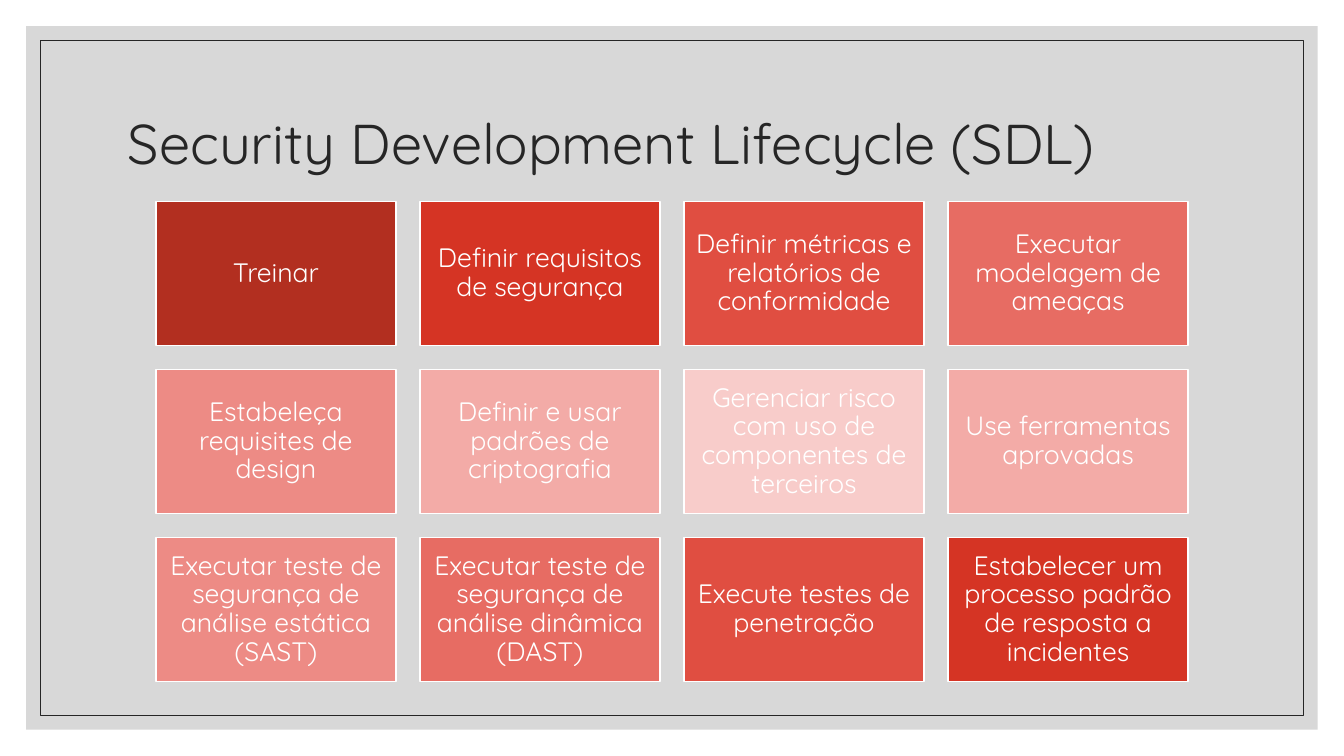
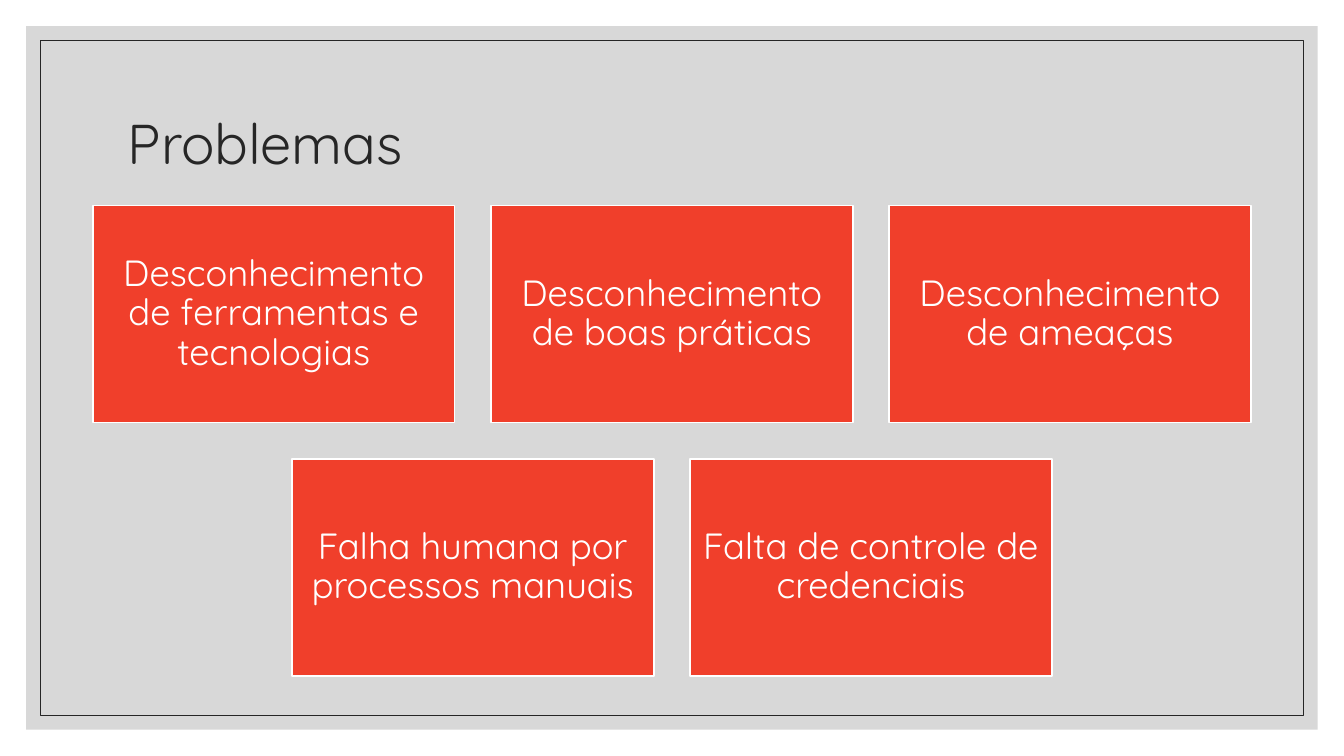
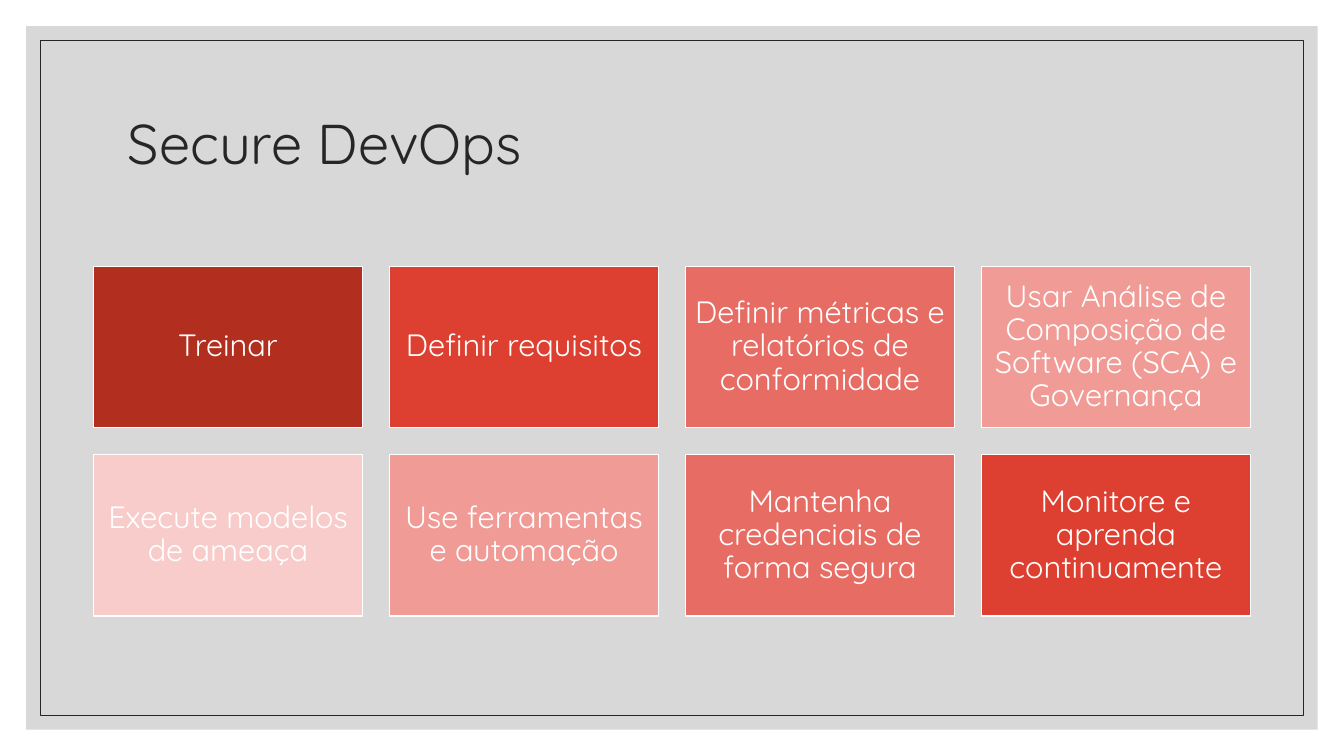
from dataclasses import dataclass
from typing import Optional

from lxml.etree import SubElement
from pptx import Presentation
from pptx.dml.color import RGBColor
from pptx.enum.shapes import MSO_SHAPE as Preset
from pptx.enum.text import MSO_ANCHOR as Anchor, MSO_AUTO_SIZE as AutoSize, PP_ALIGN as Align
from pptx.oxml.ns import qn
from pptx.util import Cm, Pt

FONT = "Quicksand"
LINE_SPACING = 0.9
TITLE_SIZE = 40
PAGE_WIDTH = 33.87
PAGE_HEIGHT = 19.05

WHITE = RGBColor(0xFF, 0xFF, 0xFF)
INK = RGBColor(0x26, 0x26, 0x26)
GREY = RGBColor(0xBF, 0xBF, 0xBF)
ACCENT = RGBColor(0xF0, 0x3F, 0x2B)
DARK_RED = RGBColor(0xB2, 0x2F, 0x20)
DEEP_RED = RGBColor(0xD5, 0x34, 0x24)
STRONG_RED = RGBColor(0xDD, 0x3F, 0x31)
WARM_RED = RGBColor(0xE0, 0x4E, 0x41)
CORAL = RGBColor(0xE7, 0x6C, 0x63)
SALMON = RGBColor(0xED, 0x8B, 0x85)
ROSE = RGBColor(0xF0, 0x9B, 0x96)
PINK = RGBColor(0xF3, 0xAB, 0xA7)
PALE_PINK = RGBColor(0xF8, 0xCC, 0xCA)


@dataclass(frozen=True)
class Tile:
    label: str
    fill: RGBColor = ACCENT


@dataclass(frozen=True)
class TileGrid:
    """Tiles in centred rows; top and tile_width are in centimetres."""
    title: str
    columns: int
    top: float
    tile_width: float
    font_size: int
    tiles: tuple[Tile, ...]


GRIDS = (
    TileGrid("Security Development Lifecycle (SDL)", 4, 5.08, 6.05, 19, (
        Tile("Treinar", DARK_RED),
        Tile("Definir requisitos de segurança", DEEP_RED),
        Tile("Definir métricas e relatórios de conformidade", WARM_RED),
        Tile("Executar modelagem de ameaças", CORAL),
        Tile("Estabeleça requisites de design", SALMON),
        Tile("Definir e usar padrões de criptografia", PINK),
        Tile("Gerenciar risco com uso de componentes de terceiros", PALE_PINK),
        Tile("Use ferramentas aprovadas", PINK),
        Tile("Executar teste de segurança de análise estática (SAST)", SALMON),
        Tile("Executar teste de segurança de análise dinâmica (DAST)", CORAL),
        Tile("Execute testes de penetração", WARM_RED),
        Tile("Estabelecer um processo padrão de resposta a incidentes", DEEP_RED),
    )),
    TileGrid("Problemas", 3, 5.18, 9.12, 26, (
        Tile("Desconhecimento de ferramentas e tecnologias"),
        Tile("Desconhecimento de boas práticas"),
        Tile("Desconhecimento de ameaças"),
        Tile("Falha humana por processos manuais"),
        Tile("Falta de controle de credenciais"),
    )),
    TileGrid("Secure DevOps", 4, 6.71, 6.78, 22, (
        Tile("Treinar", DARK_RED),
        Tile("Definir requisitos", STRONG_RED),
        Tile("Definir métricas e relatórios de conformidade", CORAL),
        Tile("Usar Análise de Composição de Software (SCA) e Governança", ROSE),
        Tile("Execute modelos de ameaça", PALE_PINK),
        Tile("Use ferramentas e automação", ROSE),
        Tile("Mantenha credenciais de forma segura", CORAL),
        Tile("Monitore e aprenda continuamente", STRONG_RED),
    )),
)


def add_rectangle(page, left: float, top: float, width: float, height: float,
                  fill: Optional[RGBColor] = None, line: Optional[RGBColor] = None,
                  line_width: float = 1):
    box = page.shapes.add_shape(Preset.RECTANGLE, Cm(left), Cm(top), Cm(width), Cm(height))
    box.shadow.inherit = False
    if fill is None:
        box.fill.background()
    else:
        box.fill.solid()
        box.fill.fore_color.rgb = fill
    if line is None:
        box.line.fill.background()
    else:
        box.line.color.rgb = line
        box.line.width = Pt(line_width)
    return box


def write_text(frame, text: str, size: int, color: RGBColor, align: Align) -> None:
    frame.word_wrap = True
    frame.auto_size = AutoSize.NONE
    frame.vertical_anchor = Anchor.MIDDLE
    para = frame.paragraphs[0]
    para.alignment = align
    para.line_spacing = LINE_SPACING
    span = para.add_run()
    span.text = text
    span.font.name = FONT
    span.font.size = Pt(size)
    span.font.color.rgb = color


def add_inset_rectangle(page, margin: float, **style):
    return add_rectangle(page, margin, margin, PAGE_WIDTH - 2 * margin,
                         PAGE_HEIGHT - 2 * margin, **style)


def move_frame_to_layout(page) -> None:
    """Draw the grey panel and its border, then hand them to the page's layout."""
    panel = add_inset_rectangle(page, 0.66, fill=GREY)
    color = panel.fill._xPr.find(qn("a:solidFill")).find(qn("a:srgbClr"))
    SubElement(color, qn("a:alpha")).set("val", "60000")
    border = add_inset_rectangle(page, 1.03, line=INK, line_width=0.5)
    tree = page.slide_layout.shapes._spTree
    for position, box in enumerate((panel, border), start=2):
        tree.insert(position, box._element)


def set_title(page, text: str) -> None:
    title = page.shapes.title
    title.left, title.top, title.width, title.height = Cm(2.97), Cm(1.78), Cm(27.94), Cm(3.81)
    write_text(title.text_frame, text, TITLE_SIZE, INK, Align.LEFT)


def add_tile(page, tile: Tile, left: float, top: float, width: float, height: float,
             font_size: int) -> None:
    box = add_rectangle(page, left, top, width, height, fill=tile.fill, line=WHITE)
    frame = box.text_frame
    inset = Pt(0.3 * font_size)
    frame.margin_left = frame.margin_right = frame.margin_top = frame.margin_bottom = inset
    write_text(frame, tile.label, font_size, WHITE, Align.CENTER)


def add_tile_grid(page, grid: TileGrid) -> None:
    width, height, gap = grid.tile_width, 0.6 * grid.tile_width, 0.1 * grid.tile_width
    for row, start in enumerate(range(0, len(grid.tiles), grid.columns)):
        tiles = grid.tiles[start:start + grid.columns]
        row_width = len(tiles) * (width + gap) - gap
        row_left = (PAGE_WIDTH - row_width) / 2
        top = grid.top + row * (height + gap)
        for column, tile in enumerate(tiles):
            left = row_left + column * (width + gap)
            add_tile(page, tile, left, top, width, height, grid.font_size)


def main() -> None:
    deck = Presentation()
    deck.slide_width, deck.slide_height = Cm(PAGE_WIDTH), Cm(PAGE_HEIGHT)
    title_only = deck.slide_layouts[5]
    pages = [deck.slides.add_slide(title_only) for _ in GRIDS]
    move_frame_to_layout(pages[0])
    for page, grid in zip(pages, GRIDS):
        set_title(page, grid.title)
        add_tile_grid(page, grid)
    deck.save("out.pptx")


if __name__ == "__main__":
    main()
